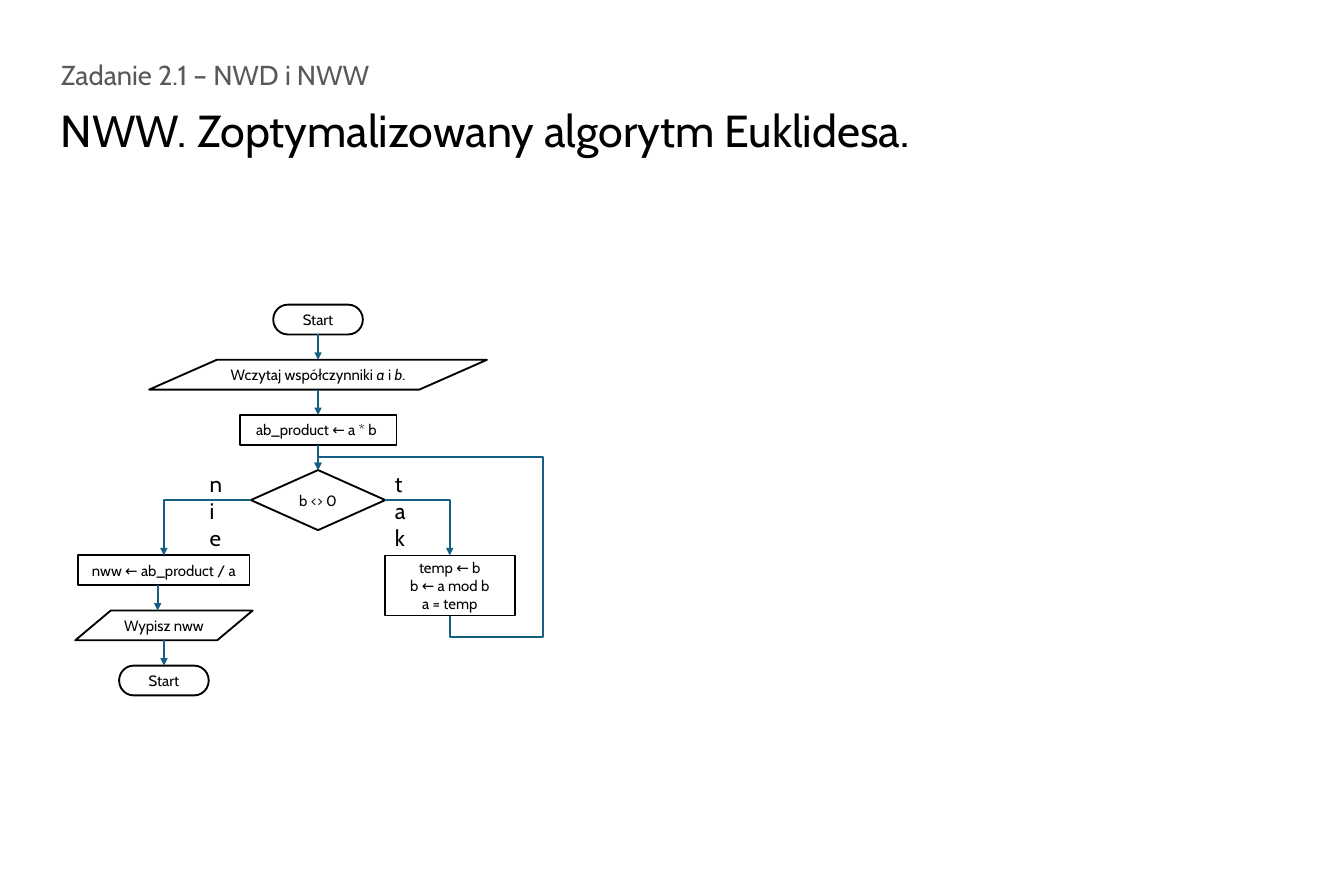
"""Build the slide with the flowchart of the optimised Euclidean algorithm for the LCM."""
import pptx
import pptx.dml.color
import pptx.enum.shapes
import pptx.enum.text
import pptx.oxml.ns
import pptx.util
import lxml.etree

BLACK = pptx.dml.color.RGBColor(0x00, 0x00, 0x00)
WHITE = pptx.dml.color.RGBColor(0xFF, 0xFF, 0xFF)
GRAY = pptx.dml.color.RGBColor(0x59, 0x59, 0x59)
TEAL = pptx.dml.color.RGBColor(0x15, 0x60, 0x82)
SHAPE = pptx.enum.shapes.MSO_SHAPE
LINK = pptx.enum.shapes.MSO_CONNECTOR
ALIGN = pptx.enum.text.PP_ALIGN
TOP, LEFT, BOTTOM, RIGHT = range(4)


class Flow:
    col, row = 1, 0.615
    font = "Cabin"
    line = pptx.util.Pt(1.5)

    def __init__(self, prs):
        self.s = prs.slides.add_slide(prs.slide_layouts[6])

    def x(self, cols):
        return pptx.util.Inches(cols * self.col)

    def y(self, rows):
        return pptx.util.Inches(rows * self.row)

    def set_lines(self, tf, lines, size, color, align):
        for i, line in enumerate(lines):
            p = tf.paragraphs[0] if i == 0 else tf.add_paragraph()
            p.alignment = align
            for j, text in enumerate(line.split("|")):
                r = p.add_run()
                r.text = text
                fmt = {"name": self.font, "size": pptx.util.Pt(size), "italic": j % 2 == 1}
                for key, value in fmt.items():
                    setattr(r.font, key, value)
                r.font.color.rgb = color

    def text(self, col, row, cols, rows, text, size, color=BLACK, wrap=False):
        sp = self.s.shapes.add_textbox(self.x(col), self.y(row), self.x(cols), self.y(rows))
        sp.text_frame.word_wrap = wrap
        self.set_lines(sp.text_frame, [text], size, color, ALIGN.LEFT)

    def node(self, kind, axis, row, cols, *lines, rows=0.54):
        sp = self.s.shapes.add_shape(
            kind, self.x(axis - cols / 2), self.y(row), self.x(cols), self.y(rows))
        sp.shadow.inherit = False
        sp.fill.solid()
        sp.fill.fore_color.rgb = WHITE
        sp.line.color.rgb = BLACK
        sp.line.width = self.line
        sp.text_frame.word_wrap = True
        sp.text_frame.vertical_anchor = pptx.enum.text.MSO_ANCHOR.MIDDLE
        self.set_lines(sp.text_frame, lines, 12, BLACK, ALIGN.CENTER)
        return sp

    def connector(self, kind, x1, y1, x2, y2):
        cx = self.s.shapes.add_connector(kind, x1, y1, x2, y2)
        cx.line.color.rgb = TEAL
        cx.line.width = self.line
        ln = cx.element.spPr.find(pptx.oxml.ns.qn("a:ln"))
        lxml.etree.SubElement(ln, pptx.oxml.ns.qn("a:tailEnd"), type="triangle")
        lxml.etree.SubElement(cx.element.spPr, pptx.oxml.ns.qn("a:effectLst"))
        return cx

    def arrow(self, axis, upper, lower):
        x = self.x(axis)
        cx = self.connector(LINK.STRAIGHT, x, upper.top + upper.height, x, lower.top)
        ends = ((cx.begin_connect, upper, BOTTOM), (cx.end_connect, lower, TOP))
        for connect, sp, side in ends:
            centred = abs(sp.left + sp.width // 2 - x) < self.x(0.01)
            if centred and sp.auto_shape_type != SHAPE.FLOWCHART_DATA:
                connect(sp, side)

    def elbow(self, source, side, target, preset="bentConnector2"):
        cx = self.connector(LINK.ELBOW, 0, 0, 0, 0)
        cx.begin_connect(source, side)
        cx.end_connect(target, TOP)
        cx.element.spPr.find(pptx.oxml.ns.qn("a:prstGeom")).set("prst", preset)
        return cx

    def loop(self, source, target, *adjustments):
        cx = self.elbow(source, BOTTOM, target, "bentConnector5")
        w, h = cx.width, cx.height
        cx.left, cx.top = cx.left + (w - h) // 2, cx.top + (h - w) // 2
        cx.width, cx.height = h, w
        xfrm = cx.element.spPr.find(pptx.oxml.ns.qn("a:xfrm"))
        for key, value in {"rot": "5400000", "flipH": "1", "flipV": "0"}.items():
            xfrm.set(key, value)
        guides = next(cx.element.iter(pptx.oxml.ns.qn("a:avLst")))
        for i, share in enumerate(adjustments, 1):
            lxml.etree.SubElement(guides, pptx.oxml.ns.qn("a:gd"),
                                  name=f"adj{i}", fmla=f"val {round(share * 100000)}")


def main():
    prs = pptx.Presentation()
    prs.slide_width, prs.slide_height = pptx.util.Inches(15), pptx.util.Inches(10)
    flow = Flow(prs)
    main_axis, no_axis, yes_axis = 3.55, 1.83, 5.02
    first, branch = 5.53, 10.08

    flow.text(0.58, 0.98, 3.69, 0.76, "Zadanie 2.1 – NWD i NWW", 22, GRAY)
    flow.text(0.58, 1.79, 9.86, 1.15, "NWW. Zoptymalizowany algorytm Euklidesa.", 36)

    start = flow.node(SHAPE.FLOWCHART_TERMINATOR, main_axis, first, 1, "Start")
    read = flow.node(SHAPE.FLOWCHART_DATA, main_axis, first + 1, 3.77,
                     "Wczytaj współczynniki |a |i |b|.")
    product = flow.node(SHAPE.FLOWCHART_PROCESS, main_axis, first + 2, 1.75,
                        "ab_product ← a * b ")
    test = flow.node(SHAPE.FLOWCHART_DECISION, main_axis, first + 3, 1.5, "b <> 0", rows=1.09)
    swap = flow.node(SHAPE.FLOWCHART_PROCESS, yes_axis, branch, 1.45,
                     "temp ← b", "b ← a mod b", "a = temp", rows=1.09)
    result = flow.node(SHAPE.FLOWCHART_PROCESS, no_axis, branch, 1.91, "nww ← ab_product / a")
    output = flow.node(SHAPE.FLOWCHART_DATA, no_axis, branch + 1, 1.98, "Wypisz nww")
    end = flow.node(SHAPE.FLOWCHART_TERMINATOR, no_axis, branch + 2, 1, "Start")

    for col, label in ((4.31, "tak"), (2.24, "nie")):
        flow.text(col, 8.46, 0.37, 0.41, label, 18, wrap=True)

    for axis, upper, lower in (
            (main_axis, start, read), (main_axis, read, product), (main_axis, product, test),
            (1.76, result, output), (no_axis, output, end)):
        flow.arrow(axis, upper, lower)
    flow.elbow(test, RIGHT, swap)
    flow.elbow(test, LEFT, result)
    flow.loop(swap, test, -0.15, -0.71, 1.09)

    prs.save("out.pptx")


if __name__ == "__main__":
    main()
